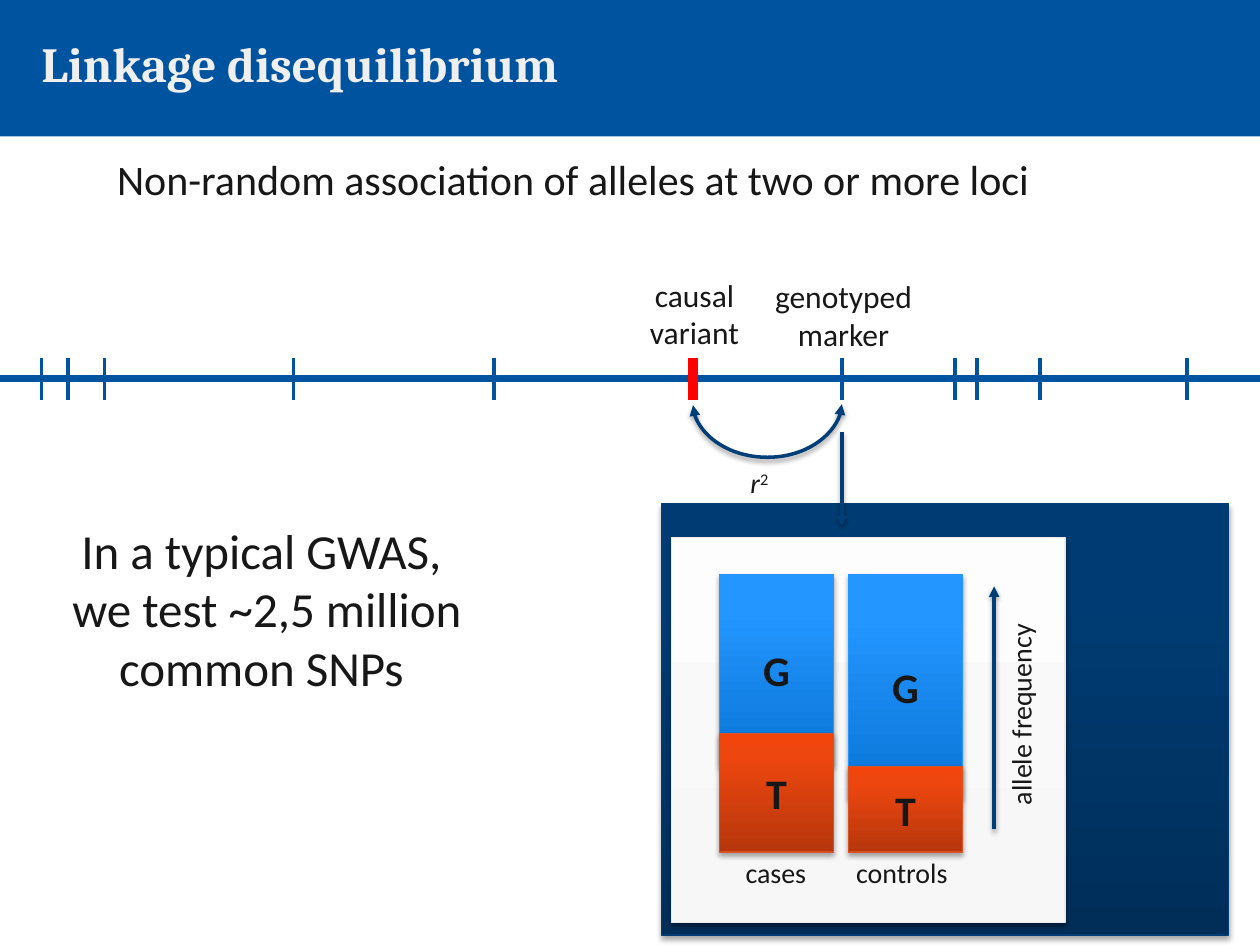
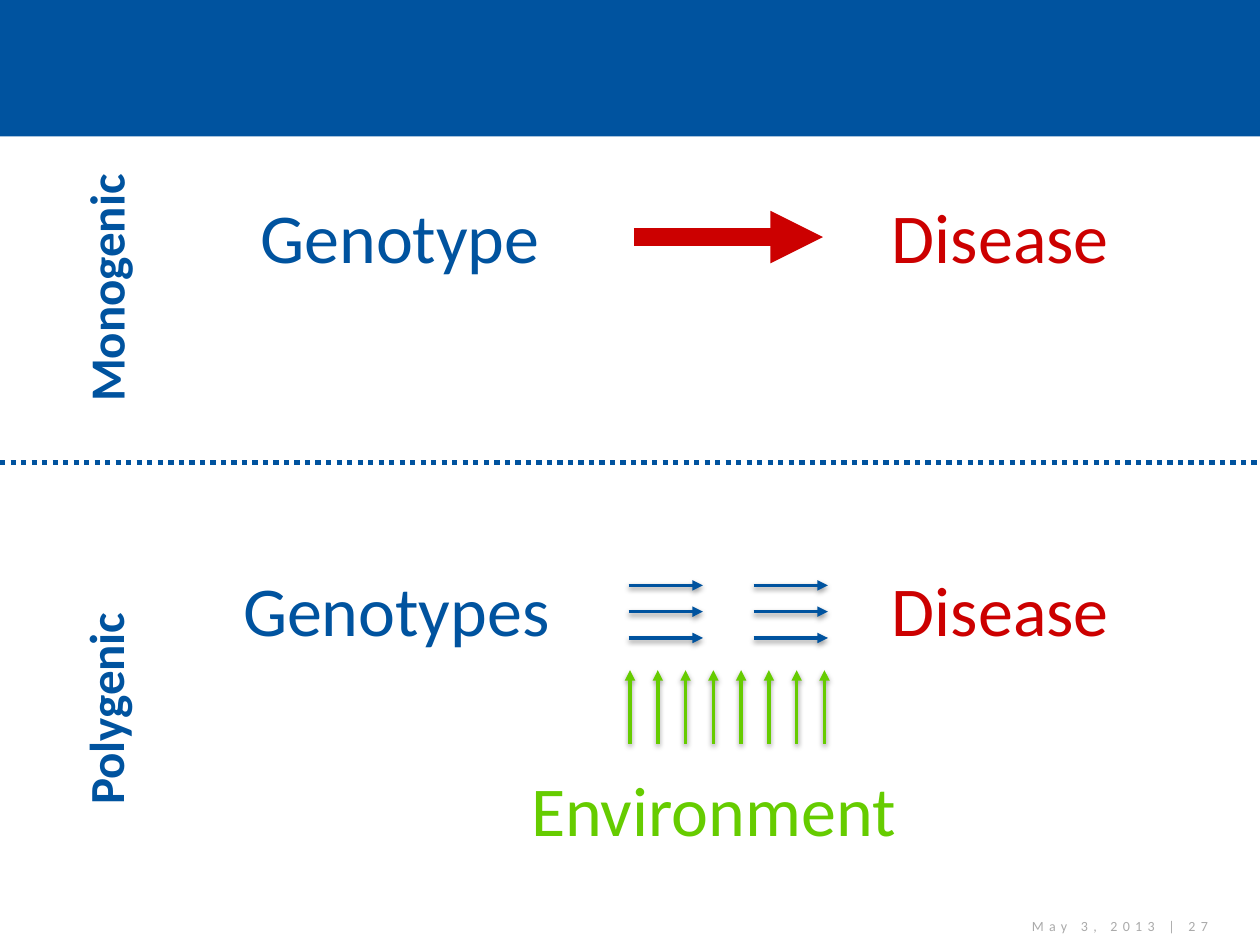
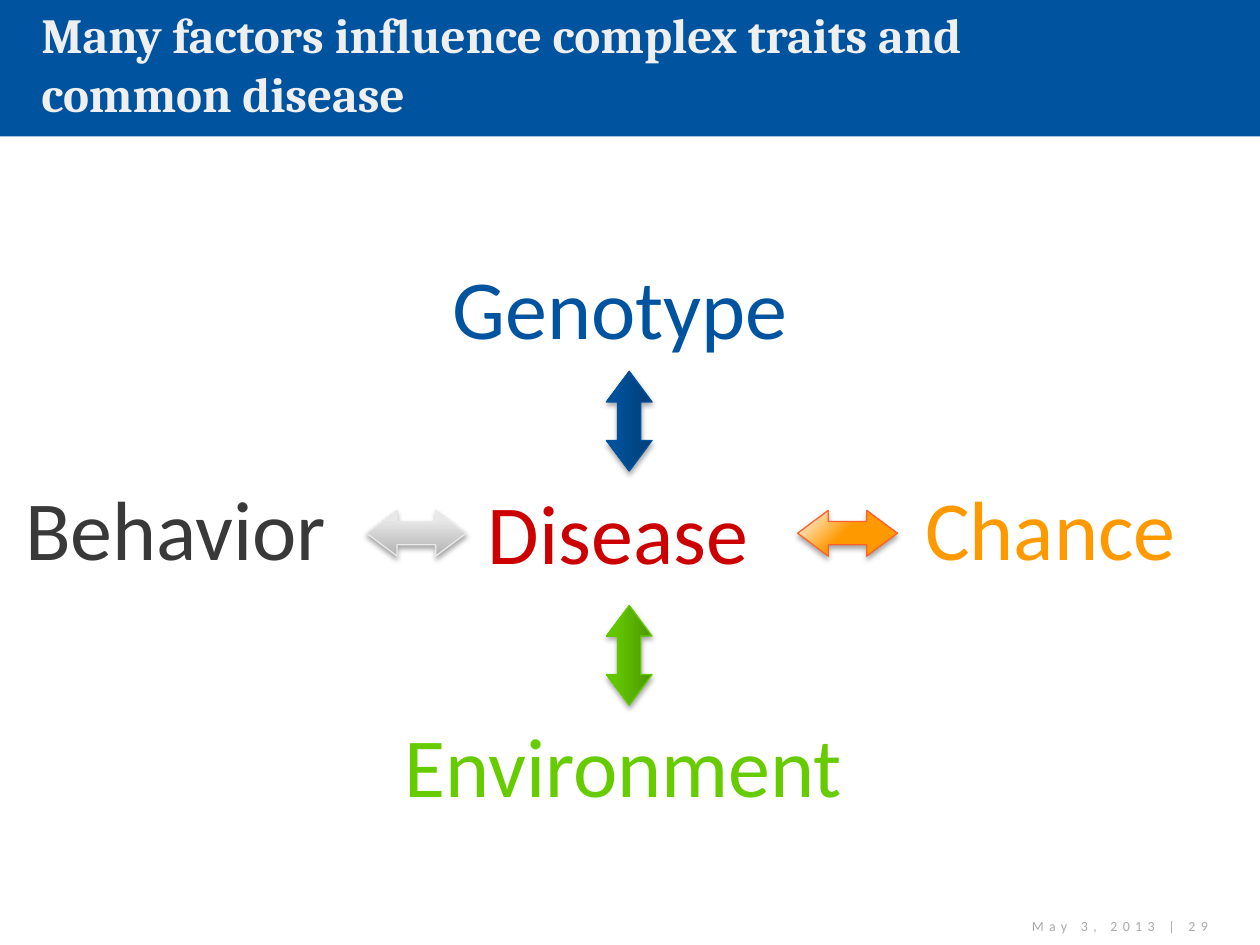
from dataclasses import dataclass

from lxml.etree import SubElement
from pptx import Presentation
from pptx.dml.color import RGBColor
from pptx.enum.dml import MSO_LINE
from pptx.enum.shapes import MSO_CONNECTOR, MSO_SHAPE
from pptx.enum.text import MSO_ANCHOR, MSO_AUTO_SIZE, PP_ALIGN
from pptx.oxml.ns import qn
from pptx.util import Cm, Pt

SLIDE_WIDTH, SLIDE_HEIGHT = 25.4, 19.05
BAND_HEIGHT = 2.75
TITLE_ONLY, BLANK = 5, 6

BLUE = RGBColor(0x00, 0x53, 0x9F)
ARROW_BLUE = RGBColor(0x00, 0x3E, 0x77)
WHITE = RGBColor(0xFF, 0xFF, 0xFF)
TITLE_GREY = RGBColor(0xEF, 0xEF, 0xEF)
FOOTER_GREY = RGBColor(0xAA, 0xAA, 0xAA)
TEXT_BLACK = RGBColor(0x17, 0x17, 0x17)
DARK_GREY = RGBColor(0x39, 0x39, 0x39)
RED = RGBColor(0xCC, 0x00, 0x00)
CAUSAL_RED = RGBColor(0xFF, 0x00, 0x00)
GREEN = RGBColor(0x66, 0xCC, 0x00)
ORANGE = RGBColor(0xFF, 0x99, 0x00)
NAVY_LINE = RGBColor(0x00, 0x3D, 0x74)
PALE_LINE = RGBColor(0xEA, 0xEA, 0xEA)
G_LINE = RGBColor(0x26, 0x97, 0xFF)
T_LINE = RGBColor(0xD9, 0x52, 0x25)
BLUE_LINE = RGBColor(0x00, 0x51, 0x9B)
GREEN_LINE = RGBColor(0x64, 0xC8, 0x00)
ORANGE_LINE = RGBColor(0xFE, 0x61, 0x2D)

# Gradient stops: (position in percent, colour)
NAVY_STOPS = ((0, RGBColor(0x00, 0x2E, 0x59)), (80, RGBColor(0x00, 0x3C, 0x73)), (100, NAVY_LINE))
CARD_STOPS = ((0, RGBColor(0xF7, 0xF7, 0xF7)), (35, RGBColor(0xF9, 0xF9, 0xF9)),
              (100, RGBColor(0xFD, 0xFD, 0xFD)))
G_STOPS = ((0, RGBColor(0x09, 0x74, 0xD6)), (80, RGBColor(0x23, 0x96, 0xFF)),
           (100, RGBColor(0x24, 0x96, 0xFF)))
T_STOPS = ((0, RGBColor(0xB6, 0x36, 0x0C)), (80, RGBColor(0xED, 0x47, 0x0F)),
           (100, RGBColor(0xF2, 0x45, 0x0B)))
GREY_STOPS = ((0, RGBColor(0xB2, 0xB2, 0xB2)), (80, RGBColor(0xE8, 0xE8, 0xE8)), (100, PALE_LINE))
BLUE_STOPS = ((0, ARROW_BLUE), (80, RGBColor(0x00, 0x50, 0x9A)), (100, BLUE_LINE))
GREEN_STOPS = ((0, RGBColor(0x4C, 0x98, 0x00)), (80, RGBColor(0x63, 0xC6, 0x00)), (100, GREEN_LINE))
ORANGE_STOPS = ((52, ORANGE), (100, WHITE))


@dataclass
class Box:
    """A region in centimetres."""
    left: float
    top: float
    width: float
    height: float

    def inner(self, left, top, width, height):
        return Box(self.left + left, self.top + top, width, height)

    def point(self, x, y):
        return self.left + x, self.top + y

    def lengths(self):
        return Cm(self.left), Cm(self.top), Cm(self.width), Cm(self.height)


def set_shadow(shape, opacity=35, distance=1.8):
    """Give a soft shadow below the shape, or none at opacity 0."""
    effects = SubElement(shape._element.spPr, qn("a:effectLst"))
    if opacity:
        shadow = SubElement(effects, qn("a:outerShdw"), blurRad=str(Pt(3.1)),
                            dist=str(Pt(distance)), dir="5400000", rotWithShape="0")
        color = SubElement(shadow, qn("a:srgbClr"), val="000000")
        SubElement(color, qn("a:alpha"), val=str(opacity * 1000))


def set_gradient(shape, stops, radial=False):
    """Fill upwards from the first stop, or outwards from the lower right corner."""
    shape.fill.gradient()
    gradient = shape._element.spPr.find(qn("a:gradFill"))
    for child in list(gradient):
        gradient.remove(child)
    stop_list = SubElement(gradient, qn("a:gsLst"))
    for position, color in stops:
        stop = SubElement(stop_list, qn("a:gs"), pos=str(position * 1000))
        SubElement(stop, qn("a:srgbClr"), val=str(color))
    if radial:
        circle = SubElement(gradient, qn("a:path"))
        circle.set("path", "circle")
        SubElement(circle, qn("a:fillToRect"), l="100000", t="100000")
    else:
        SubElement(gradient, qn("a:lin"), ang="16200000", scaled="0")


def add_gradient_shape(slide, kind, box, stops, line_color, radial=False):
    shape = slide.shapes.add_shape(kind, *box.lengths())
    set_gradient(shape, stops, radial)
    shape.line.color.rgb = line_color
    shape.line.width = Pt(0.75)
    set_shadow(shape)
    return shape


def add_run(paragraph, text, size, color, font_name="Calibri", bold=False, italic=False):
    run = paragraph.add_run()
    run.text = text
    font = run.font
    font.name, font.size, font.bold, font.italic = font_name, Pt(size), bold, italic
    font.color.rgb = color
    return run


def add_text(slide, box, lines, size, color=TEXT_BLACK, bold=False, italic=False,
             align=PP_ALIGN.LEFT, anchor=MSO_ANCHOR.TOP, wrap=False, rotation=0, inset=None):
    """Add a text box with one paragraph for each line and return its text frame."""
    text_box = slide.shapes.add_textbox(*box.lengths())
    text_box.rotation = rotation
    frame = text_box.text_frame
    frame.word_wrap = wrap
    frame.vertical_anchor = anchor
    frame.auto_size = MSO_AUTO_SIZE.NONE if wrap else MSO_AUTO_SIZE.SHAPE_TO_FIT_TEXT
    if inset is not None:
        frame.margin_left = frame.margin_right = Cm(inset)
        frame.margin_top = frame.margin_bottom = Cm(inset)
    for number, line in enumerate(lines):
        paragraph = frame.add_paragraph() if number else frame.paragraphs[0]
        paragraph.alignment = align
        add_run(paragraph, line, size, color, bold=bold, italic=italic)
    return frame


def add_line(slide, begin, end, color, width, head=False, tail=False, shadow=False,
             kind=MSO_CONNECTOR.STRAIGHT):
    """Draw a line; head puts an arrowhead at its begin and tail at its end."""
    connector = slide.shapes.add_connector(kind, *(Cm(value) for value in (*begin, *end)))
    connector.line.color.rgb = color
    connector.line.width = Pt(width)
    outline = connector.line._get_or_add_ln()
    for wanted, tag in ((head, "a:headEnd"), (tail, "a:tailEnd")):
        if wanted:
            SubElement(outline, qn(tag), type="triangle")
    set_shadow(connector, 38 if shadow else 0, 1.6)
    return connector


def add_base_slide(presentation, title=None, footer=None):
    """Add a slide with the white body below the band, and its title and footer."""
    layout = presentation.slide_layouts[TITLE_ONLY if title else BLANK]
    slide = presentation.slides.add_slide(layout)
    body_box = Box(0, BAND_HEIGHT, SLIDE_WIDTH, SLIDE_HEIGHT - BAND_HEIGHT)
    body = slide.shapes.add_shape(MSO_SHAPE.RECTANGLE, *body_box.lengths())
    body.fill.solid()
    body.fill.fore_color.rgb = WHITE
    body.line.fill.background()
    body.shadow.inherit = False
    if title:
        placeholder = slide.shapes.title
        placeholder.left, placeholder.top, placeholder.width, placeholder.height = \
            Box(0.58, 0, 20.37, 2.54).lengths()
        frame = placeholder.text_frame
        frame.auto_size = MSO_AUTO_SIZE.NONE
        frame.vertical_anchor = MSO_ANCHOR.MIDDLE
        frame.paragraphs[0].alignment = PP_ALIGN.LEFT
        add_run(frame.paragraphs[0], title, 28, TITLE_GREY, "Cambria", bold=True)
    if footer:
        frame = add_text(slide, Box(18.11, 18.42, 6.5, 0.5), [footer], 8, FOOTER_GREY,
                         align=PP_ALIGN.RIGHT, anchor=MSO_ANCHOR.MIDDLE, wrap=True)
        frame.paragraphs[0].runs[0].font._element.set("spc", "300")
    return slide


def add_allele_bar(slide, box, t_height, label, label_indent):
    """Stack T on the lower end of G, with the group label below."""
    overlap = 0.64
    g_box = box.inner(0, 0, box.width, box.height - t_height + overlap)
    t_box = box.inner(0, box.height - t_height, box.width, t_height)
    for allele, part, stops, line_color in (("G", g_box, G_STOPS, G_LINE),
                                            ("T", t_box, T_STOPS, T_LINE)):
        shape = add_gradient_shape(slide, MSO_SHAPE.RECTANGLE, part, stops, line_color)
        frame = shape.text_frame
        frame.word_wrap = False
        frame.vertical_anchor = MSO_ANCHOR.MIDDLE
        frame.paragraphs[0].alignment = PP_ALIGN.CENTER
        add_run(frame.paragraphs[0], allele, 24, TEXT_BLACK, bold=True)
    label_width = box.width - 2 * label_indent
    add_text(slide, box.inner(label_indent, box.height - 0.05, label_width, 0.94), [label], 16)


def add_frequency_panel(slide, box):
    add_gradient_shape(slide, MSO_SHAPE.RECTANGLE, box, NAVY_STOPS, NAVY_LINE)
    card = box.inner(0.2, 0.67, 7.93, 7.77)
    add_gradient_shape(slide, MSO_SHAPE.RECTANGLE, card, CARD_STOPS, PALE_LINE)
    bars = (("cases", 2.39, 0.27), ("controls", 1.73, -0.1))
    for number, (label, t_height, label_indent) in enumerate(bars):
        bar = card.inner(0.97 + 2.6 * number, 0.75, 2.29, 5.6)
        add_allele_bar(slide, bar, t_height, label, label_indent)
    add_line(slide, card.point(6.5, 0.99), card.point(6.5, 5.89), ARROW_BLUE, 2,
             head=True, shadow=True)
    add_text(slide, card.inner(4.93, 3.07, 4.22, 0.94), ["allele frequency"], 16, rotation=270)


def add_chromosome(slide, box):
    """Draw the chromosome with its loci, the causal variant and the genotyped marker."""
    middle = box.height / 2
    marker_x, causal_x = 16.97, 13.97
    add_line(slide, box.point(0, middle), box.point(box.width, middle), BLUE, 4)
    for x in (0.84, 1.37, 2.11, 5.92, 9.96, marker_x, 19.25, 19.69, 20.96, 23.93):
        add_line(slide, box.point(x, 0), box.point(x, box.height), BLUE, 2)
    add_line(slide, box.point(causal_x, 0), box.point(causal_x, box.height), CAUSAL_RED, 6)
    for label, left, top, width in (("causal variant", 12.5, -1.78, 3),
                                    ("genotyped marker", 15.24, -1.75, 3.53)):
        add_text(slide, box.inner(left, top, width, 1.78), [label], 18,
                 align=PP_ALIGN.CENTER, anchor=MSO_ANCHOR.MIDDLE, wrap=True)
    add_line(slide, box.point(marker_x, 1.5), box.point(marker_x, 3.4), ARROW_BLUE, 2,
             tail=True, shadow=True)
    add_linkage_arc(slide, box, causal_x, marker_x)
    frame = add_text(slide, box.inner(14.88, 2.06, 0.94, 0.94), ["r"], 16, italic=True)
    exponent = add_run(frame.paragraphs[0], "2", 16, TEXT_BLACK)
    exponent.font._element.set("baseline", "30000")


def add_linkage_arc(slide, box, left, right):
    """Join two loci by a curve below them: an upright connector turned by 90 degrees."""
    thickness, depth, arc_top = 0.02, 1.07, 0.95
    center, half = (left + right) / 2, (right - left) / 2
    arc = add_line(slide, box.point(center - thickness / 2, arc_top - half),
                   box.point(center + thickness / 2, arc_top + half), ARROW_BLUE, 2,
                   head=True, tail=True, shadow=True, kind=MSO_CONNECTOR.CURVE)
    properties = arc._element.spPr
    properties.find(qn("a:xfrm")).set("rot", "5400000")
    guides = properties.find(qn("a:prstGeom")).find(qn("a:avLst"))
    SubElement(guides, qn("a:gd"), name="adj1", fmla=f"val {round(depth / thickness * 100000)}")


def add_linkage_slide(presentation):
    slide = add_base_slide(presentation, "Linkage disequilibrium")
    frame = add_text(slide, Box(0.84, 2.97, 23.06, 1.27),
                     ["Non-random association of alleles at two or more loci"], 24, wrap=True)
    frame.paragraphs[0].level = 1
    add_text(slide, Box(1.14, 10.36, 8.48, 3.84),
             ["In a typical GWAS, ", "we test ~2,5 million ", "common SNPs "], 28,
             align=PP_ALIGN.CENTER)
    add_frequency_panel(slide, Box(13.34, 10.16, 11.43, 8.69))
    add_chromosome(slide, Box(0, 7.21, SLIDE_WIDTH, 0.86))


def add_inheritance_row(slide, box, label, label_box, cause, cause_left, cause_width, words_top):
    """Place the upright label, the cause and the disease of one type of inheritance."""
    add_text(slide, label_box, [label], 28, BLUE, bold=True, align=PP_ALIGN.CENTER,
             anchor=MSO_ANCHOR.MIDDLE, wrap=True, rotation=270)
    add_text(slide, box.inner(cause_left, words_top, cause_width, 1.96), [cause], 40, BLUE)
    add_text(slide, box.inner(17.73, words_top, 4.95, 1.96), ["Disease"], 40, RED)


def add_monogenic_row(slide, box):
    add_inheritance_row(slide, box, "Monogenic", box.inner(-2.67, 2.33, 9.58, 1.45),
                        "Genotype", 5, 6.25, 1.03)
    add_line(slide, box.point(12.78, 2.03), box.point(16.59, 2.03), RED, 10, tail=True)


def add_polygenic_row(slide, box):
    add_inheritance_row(slide, box, "Polygenic", box.inner(-2.03, 3.48, 8.28, 2.97),
                        "Genotypes", 4.65, 6.78, 1.98)
    add_text(slide, box.inner(10.46, 6, 8, 1.96), ["Environment"], 40, GREEN)
    for number in range(8):
        x = 12.7 + 0.56 * number
        add_line(slide, box.point(x, 5.67), box.point(x, 4.19), GREEN, 2, tail=True, shadow=True)
    for x in (12.67, 15.19):
        for number in range(3):
            y = 2.48 + 0.53 * number
            add_line(slide, box.point(x, y), box.point(x + 1.5, y), BLUE, 2,
                     tail=True, shadow=True)


def add_inheritance_slide(presentation):
    slide = add_base_slide(presentation, footer="May 3, 2013 | 27")
    divider = 9.32
    add_monogenic_row(slide, Box(0, BAND_HEIGHT, SLIDE_WIDTH, divider - BAND_HEIGHT))
    add_polygenic_row(slide, Box(0, divider, SLIDE_WIDTH, SLIDE_HEIGHT - divider))
    line = add_line(slide, (0, divider), (SLIDE_WIDTH, divider), BLUE, 3)
    line.line.dash_style = MSO_LINE.ROUND_DOT


def add_factor_diagram(slide, box):
    """Set the factors around the disease, each joined to it by a double arrow."""
    words = (("Disease", RED, 9.75, 4.52, 5.46), ("Genotype", BLUE, 9.04, 0, 6.99),
             ("Environment", GREEN, 8.08, 9.22, 9.3), ("Behavior", DARK_GREY, 0.43, 4.45, 6.3),
             ("Chance", ORANGE, 18.57, 4.45, 5.26))
    for word, color, left, top, width in words:
        add_text(slide, box.inner(left, top, width, 2.21), [word], 48, color, inset=0.08)
    arrows = ((16.08, 5.21, 0, ORANGE_STOPS, ORANGE_LINE), (7.39, 5.21, 0, GREY_STOPS, PALE_LINE),
              (11.68, 2.95, 270, BLUE_STOPS, BLUE_LINE),
              (11.68, 7.67, 270, GREEN_STOPS, GREEN_LINE))
    for left, top, rotation, stops, line_color in arrows:
        arrow = add_gradient_shape(slide, MSO_SHAPE.LEFT_RIGHT_ARROW,
                                   box.inner(left, top, 2.01, 0.92), stops, line_color,
                                   radial=stops is ORANGE_STOPS)
        arrow.rotation = rotation
        arrow.adjustments[0], arrow.adjustments[1] = 0.51, 0.67


def add_factors_slide(presentation):
    slide = add_base_slide(presentation, "Many factors influence complex traits and common disease",
                           "May 3, 2013 | 29")
    add_factor_diagram(slide, Box(0, 5.08, SLIDE_WIDTH, 11.43))


def main():
    presentation = Presentation()
    presentation.slide_width, presentation.slide_height = Cm(SLIDE_WIDTH), Cm(SLIDE_HEIGHT)
    background = presentation.slide_master.background.fill
    background.solid()
    background.fore_color.rgb = BLUE
    add_linkage_slide(presentation)
    add_inheritance_slide(presentation)
    add_factors_slide(presentation)
    presentation.save("out.pptx")


if __name__ == "__main__":
    main()
